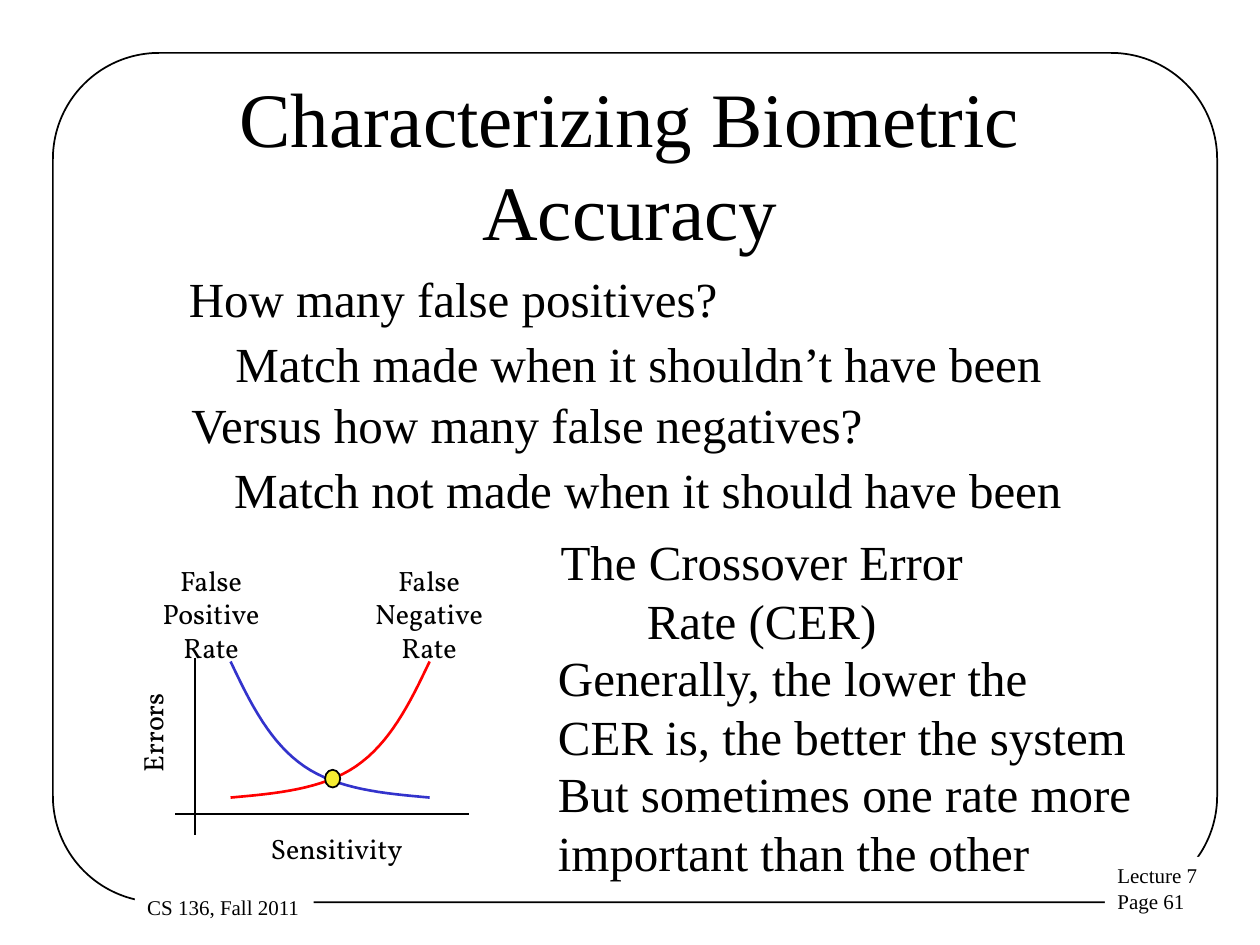
import pptx
import pptx.util
import pptx.dml.color
import pptx.enum.shapes
import pptx.enum.text
from lxml import etree
from pptx.util import Inches

COLORS = {"ink": "000000", "paper": "FFFFFF", "positive": "3333CC",
          "negative": "FF0000", "crossover": "F6ED32"}
SERIF, CHART_FONT = "Times New Roman", "Vollkorn"
SHAPE = pptx.enum.shapes.MSO_SHAPE
ALIGN = pptx.enum.text.PP_ALIGN
ANCHOR = pptx.enum.text.MSO_ANCHOR
STEPS = 16  # points along each half of a curve


def rgb(name):
    return pptx.dml.color.RGBColor.from_string(COLORS[name])


def write(tf, text, size=28, font=SERIF, align=ALIGN.LEFT, wrap=False, anchor=ANCHOR.TOP):
    tf.word_wrap = wrap
    tf.auto_size = pptx.enum.text.MSO_AUTO_SIZE.NONE
    tf.vertical_anchor = anchor
    tf.margin_left = tf.margin_right = Inches(0.1)
    tf.margin_top = tf.margin_bottom = Inches(0.05)
    for i, line in enumerate(text.split("\n")):
        p = tf.add_paragraph() if i else tf.paragraphs[0]
        p.alignment = align
        r = p.add_run()
        r.text = line
        r.font.size = pptx.util.Pt(size)
        r.font.name = font
        r.font.color.rgb = rgb("ink")


def add_text(s, text, x, y, w, h, **fmt):
    sp = s.shapes.add_textbox(Inches(x), Inches(y), Inches(w), Inches(h))
    write(sp.text_frame, text, **fmt)
    return sp


def add_outlined(s, kind, x, y, w, h, fill=None):
    sp = s.shapes.add_shape(kind, Inches(x), Inches(y), Inches(w), Inches(h))
    sp.shadow.inherit = False
    if fill:
        sp.fill.solid()
        sp.fill.fore_color.rgb = rgb(fill)
    else:
        sp.fill.background()
    sp.line.color.rgb = rgb("ink")
    sp.line.width = pptx.util.Pt(1)
    return sp


def add_axis(s, x1, y1, x2, y2):
    line = s.shapes.add_connector(pptx.enum.shapes.MSO_CONNECTOR.STRAIGHT,
                                  Inches(x1), Inches(y1), Inches(x2), Inches(y2))
    line.line.color.rgb = rgb("ink")
    line.line.width = pptx.util.Pt(1)
    etree.SubElement(line._element.spPr, pptx.oxml.ns.qn("a:effectLst"))


def bezier(a, b, c, d, t):
    u = 1 - t
    return tuple(u**3 * i + 3 * u * u * t * j + 3 * u * t * t * k + t**3 * m
                 for i, j, k, m in zip(a, b, c, d))


def add_curve(s, x, y, w, h, color, mirror=False):
    # Falling error rate in unit coordinates, as two joined Bezier segments
    knots = [(0, 0), (0.1, 0.31), (0.2, 0.6), (0.37, 0.77),
             (0.54, 0.94), (0.77, 0.97), (1, 1)]
    points = [bezier(*knots[k:k + 4], i / STEPS) for k in (0, 3) for i in range(STEPS + 1)]
    points = [(Inches(x + w * ((1 - px) if mirror else px)), Inches(y + h * py))
              for px, py in points]
    builder = s.shapes.build_freeform(*points[0])
    builder.add_line_segments(points[1:], close=False)
    sp = builder.convert_to_shape()
    sp.shadow.inherit = False
    sp.fill.background()
    sp.line.color.rgb = rgb(color)
    sp.line.width = pptx.util.Pt(1.5)


def frame(s, x, y, w, h):
    add_outlined(s, SHAPE.ROUNDED_RECTANGLE, x, y, w, h).adjustments[0] = 0.125
    # Footer labels interrupt the border
    for text, box, wrap in [("Lecture 7\nPage 61", (x + 8.35, y + 6.38, 1.23, 0.5), True),
                            ("CS 136, Fall 2011", (x + 0.65, y + 6.63, 1.42, 0.3), False)]:
        label = add_text(s, text, *box, size=12, wrap=wrap)
        label.fill.solid()
        label.fill.fore_color.rgb = rgb("paper")


def title(s, x, y, w, h):
    sp = s.shapes.title
    sp.left, sp.top, sp.width, sp.height = map(Inches, (x, y, w, h))
    write(sp.text_frame, "Characterizing Biometric Accuracy", size=44,
          align=ALIGN.CENTER, wrap=True, anchor=ANCHOR.MIDDLE)


def questions(s, x, y):
    for text, dx, dy, w in [("How many false positives?", 0, 0, 4.39),
                            ("Match made when it shouldn’t have been", 0.37, 0.52, 6.6),
                            ("Versus how many false negatives?", 0.02, 1, 5.57),
                            ("Match not made when it should have been", 0.36, 1.52, 6.77)]:
        add_text(s, text, x + dx, y + dy, w, 0.57)


def error_chart(s, x, y):
    # Axes and their names
    add_axis(s, x + 0.55, y + 0.8, x + 0.55, y + 2.21)
    add_axis(s, x + 0.39, y + 2.04, x + 2.72, y + 2.04)
    errors = add_text(s, "Errors", x - 0.16, y + 1.21, 0.74, 0.37,
                      size=16, font=CHART_FONT, align=ALIGN.CENTER)
    errors.rotation = -90
    add_text(s, "Sensitivity", x + 1.05, y + 2.13, 1.24, 0.37, size=16, font=CHART_FONT)

    # The two rates and the point where they cross
    box = (x + 0.83, y + 0.83, 1.58, 1.08)
    add_curve(s, *box, "positive")
    add_curve(s, *box, "negative", mirror=True)
    for kind, dx in [("Positive", 0), ("Negative", 1.73)]:
        add_text(s, f"False {kind} Rate", x + dx, y, 1.35, 0.9, size=16,
                 font=CHART_FONT, align=ALIGN.CENTER, wrap=True)
    add_outlined(s, SHAPE.OVAL, x + 1.58, y + 1.69, 0.12, 0.14, fill="crossover")


def conclusions(s, x, y):
    for i, (text, w, align) in enumerate([
            ("The Crossover Error Rate (CER)", 3.43, ALIGN.CENTER),
            ("Generally, the lower the CER is, the better the system", 4.75, ALIGN.LEFT),
            ("But sometimes one rate more important than the other", 5.17, ALIGN.LEFT)]):
        add_text(s, text, x, y + 0.92 * i, w, 1.04, align=align, wrap=True)


def main():
    prs = pptx.Presentation()
    prs.slide_width, prs.slide_height = Inches(10), Inches(7.5)
    s = prs.slides.add_slide(prs.slide_layouts[5])
    frame(s, 0.42, 0.42, 9.24, 6.74)
    title(s, 0.75, 0.67, 8.5, 1.25)
    questions(s, 1.4, 2.08)
    error_chart(s, 1, 4.42)
    conclusions(s, 4.33, 4.17)
    prs.save("out.pptx")


if __name__ == "__main__":
    main()
